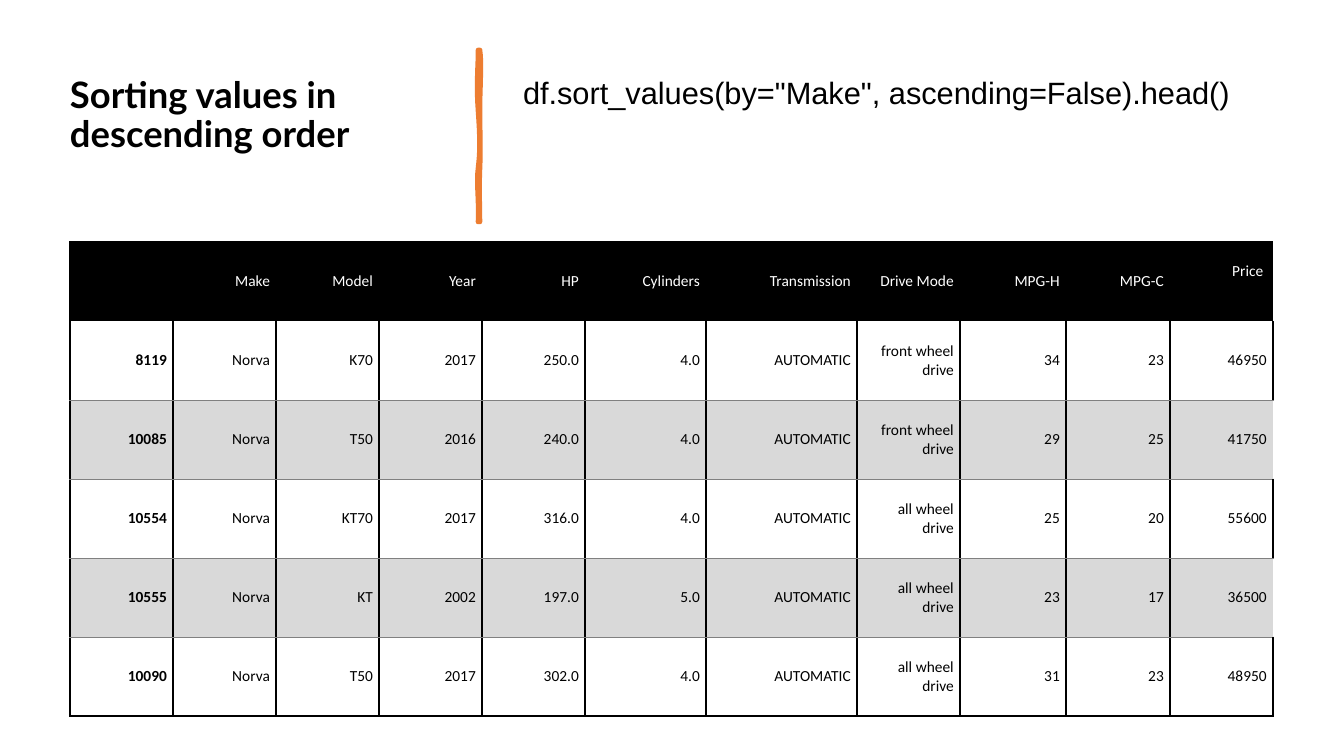
import pptx
import pptx.util
import pptx.dml.color
import pptx.enum.text
import lxml.etree

BLACK = pptx.dml.color.RGBColor(0x00, 0x00, 0x00)
WHITE = pptx.dml.color.RGBColor(0xFF, 0xFF, 0xFF)
GRAY = pptx.dml.color.RGBColor(0x80, 0x80, 0x80)
LIGHT = pptx.dml.color.RGBColor(0xD9, 0xD9, 0xD9)
ORANGE = pptx.dml.color.RGBColor(0xED, 0x7D, 0x31)
NS = "{http://schemas.openxmlformats.org/drawingml/2006/main}"
NO_STYLE = "{2D5ABB26-0587-4C30-8999-92F81FD0307C}"
MID = pptx.enum.text.MSO_ANCHOR.MIDDLE
RIGHT = pptx.enum.text.PP_ALIGN.RIGHT


def px(n):
    return pptx.util.Emu(round(n * 12192000 / 1344))


def edge(cell, side, color, width):
    props = cell._tc.get_or_add_tcPr()
    line = lxml.etree.SubElement(props, NS + "ln" + side, w=str(pptx.util.Pt(width)))
    fill = lxml.etree.SubElement(line, NS + "solidFill")
    lxml.etree.SubElement(fill, NS + "srgbClr", val=str(color))


deck = pptx.Presentation()
deck.slide_width, deck.slide_height = px(1344), px(756)
slide = deck.slides.add_slide(deck.slide_layouts[6])

# Title and code line: text, left, width, side inset, bottom inset, font, size, bold
heads = [
    ("Sorting values in descending order", 70, 377, 0, 39, "Lato", 26, True),
    ('df.sort_values(by="Make", ascending=False).head()',
     513, 760, 10, 83, "Arial", 22, False),
]
for text, left, width, side, base, font, size, bold in heads:
    box = slide.shapes.add_textbox(px(left), px(55), px(width), px(161))
    frame = box.text_frame
    frame.word_wrap = True
    frame.vertical_anchor = MID
    frame.margin_left = frame.margin_right = px(side)
    frame.margin_top, frame.margin_bottom = 0, px(base)
    frame.text = text
    para = frame.paragraphs[0]
    para.line_spacing = 0.9
    run = para.runs[0].font
    run.name, run.size, run.bold = font, pptx.util.Pt(size), bold
    run.color.rgb = BLACK

# Hand-drawn divider, sampled from its curves
start = (480, 50)
curves = [
    ((482, 62), (480, 89), (480, 111)),
    ((480, 133), (481, 145), (480, 169)),
    ((479, 195), (480, 201), (480, 222)),
    ((479, 222), (479, 222), (478, 222)),
    ((479, 198), (476, 184), (478, 168)),
    ((480, 152), (480, 139), (478, 111)),
    ((476, 84), (478, 68), (478, 50)),
]
points = []
last = start
for one, two, end in curves:
    for step in range(1, 9):
        t = step / 8
        u = 1 - t
        points.append([
            px(u**3 * a + 3 * u * u * t * b + 3 * u * t * t * c + t**3 * d)
            for a, b, c, d in zip(last, one, two, end)
        ])
    last = end
pen = slide.shapes.build_freeform(px(start[0]), px(start[1]))
pen.add_line_segments(points, close=True)
stroke = pen.convert_to_shape()
stroke.shadow.inherit = False
stroke.fill.solid()
stroke.fill.fore_color.rgb = ORANGE
stroke.line.color.rgb = ORANGE
stroke.line.width = pptx.util.Pt(3.25)
lxml.etree.SubElement(stroke.line._get_or_add_ln(), NS + "round")

# Table of cars
auto, front, every = "AUTOMATIC", "front wheel drive", "all wheel drive"
rows = [
    ("", "Make", "Model", "Year", "HP", "Cylinders", "Transmission",
     "Drive Mode", "MPG-H", "MPG-C", "Price "),
    ("8119", "Norva", "K70", "2017", "250.0", "4.0", auto, front, "34", "23", "46950"),
    ("10085", "Norva", "T50", "2016", "240.0", "4.0", auto, front, "29", "25", "41750"),
    ("10554", "Norva", "KT70", "2017", "316.0", "4.0", auto, every, "25", "20", "55600"),
    ("10555", "Norva", "KT", "2002", "197.0", "5.0", auto, every, "23", "17", "36500"),
    ("10090", "Norva", "T50", "2017", "302.0", "4.0", auto, every, "31", "23", "48950"),
]
wide = [103] * 5 + [121, 151, 103, 106, 104, 103]
high = 79
grid = slide.shapes.add_table(
    len(rows), len(wide), px(70), px(242), px(sum(wide)), px(high * len(rows))
).table
grid._tbl.tblPr.find(NS + "tableStyleId").text = NO_STYLE
grid.horz_banding = False
for col, width in zip(grid.columns, wide):
    col.width = px(width)

for r, row in enumerate(rows):
    grid.rows[r].height = px(high)
    head = r == 0
    band = r in (2, 4)
    for c, text in enumerate(row):
        cell = grid.cell(r, c)
        final = c == len(row) - 1

        # Borders
        if not head or c == 0:
            edge(cell, "L", BLACK, 1.5)
        if not head and not (band and final):
            edge(cell, "R", BLACK, 1.5)
        if head:
            edge(cell, "T", BLACK, 1.5)
        elif band:
            edge(cell, "T", GRAY, 0.5)
        elif r == len(rows) - 1:
            edge(cell, "B", BLACK, 1.5)
        else:
            edge(cell, "B", GRAY, 0.5)

        # Fill
        if head or band:
            cell.fill.solid()
            cell.fill.fore_color.rgb = BLACK if head else LIGHT
        else:
            cell.fill.background()

        # Text
        cell.vertical_anchor = MID
        cell.margin_left, cell.margin_right = px(10), px(6)
        cell.margin_top = px(8)
        cell.margin_bottom = px(28 if head and final else 8)
        cell.text_frame.text = text
        para = cell.text_frame.paragraphs[0]
        para.alignment = RIGHT
        for run in para.runs:
            run.font.name, run.font.size = "Calibri", pptx.util.Pt(11)
            run.font.bold = c == 0
            run.font.color.rgb = WHITE if head else BLACK

deck.save("out.pptx")
